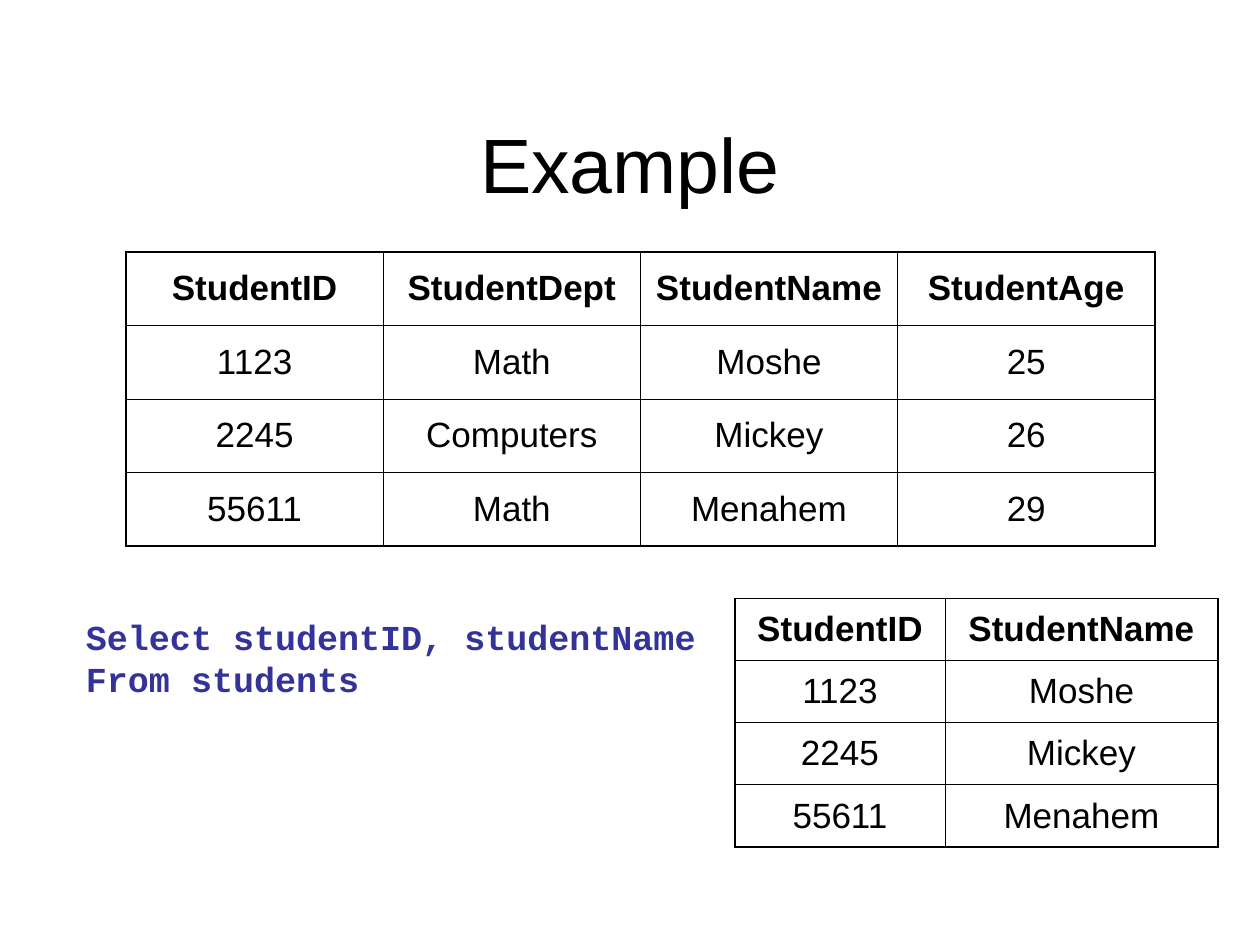
"""Builds a slide that shows an SQL projection with its source and result tables."""
from lxml import etree
from pptx import Presentation
from pptx.dml.color import RGBColor
from pptx.enum.text import MSO_ANCHOR, PP_ALIGN
from pptx.oxml.ns import qn
from pptx.util import Pt

CENTER, LEFT = PP_ALIGN.CENTER, PP_ALIGN.LEFT
MIDDLE = MSO_ANCHOR.MIDDLE
COLORS = {"text": "000000", "query": "333399"}
OUTER, INNER = 1.08, 0.45
TITLE_ONLY = 5

STUDENTS = [
    ("StudentID", "StudentDept", "StudentName", "StudentAge"),
    ("1123", "Math", "Moshe", "25"),
    ("2245", "Computers", "Mickey", "26"),
    ("55611", "Math", "Menahem", "29"),
]
RESULT = [(row[0], row[2]) for row in STUDENTS]
QUERY = "Select studentID, studentName\nFrom students"


class SlideBuilder:
    """Holds the text style and the current slide."""

    def __init__(self, slide, font="Arial", size=20):
        self.slide, self.font, self.size = slide, font, size

    def style(self, paragraph, align=CENTER, font=None, size=None, bold=False, color="text"):
        paragraph.alignment = align
        paragraph.font.name = font or self.font
        paragraph.font.size = Pt(size or self.size)
        paragraph.font.bold = bold
        paragraph.font.color.rgb = RGBColor.from_string(COLORS[color])

    def title(self, text, left, top, width, height):
        heading = self.slide.shapes.title
        heading.left, heading.top = Pt(left), Pt(top)
        heading.width, heading.height = Pt(width), Pt(height)
        heading.text_frame.text = text
        heading.text_frame.vertical_anchor = MIDDLE
        self.style(heading.text_frame.paragraphs[0], size=44)

    def code(self, text, left, top, width, height):
        frame = self.slide.shapes.add_textbox(Pt(left), Pt(top), Pt(width), Pt(height)).text_frame
        frame.word_wrap = True
        statement = frame.paragraphs[0]
        statement.text = text
        statement.line_spacing = Pt(24)
        self.style(statement, LEFT, "Courier New", bold=True, color="query")

    def border(self, cell, side, weight):
        line = etree.SubElement(cell._tc.get_or_add_tcPr(), qn(f"a:ln{side}"), w=str(Pt(weight)))
        fill = etree.SubElement(line, qn("a:solidFill"))
        etree.SubElement(fill, qn("a:srgbClr"), val=COLORS["text"])

    def table(self, rows, left, top, widths, row_height):
        last_row, last_col = len(rows) - 1, len(widths) - 1
        grid = self.slide.shapes.add_table(
            len(rows), len(widths), Pt(left), Pt(top),
            Pt(sum(widths)), Pt(row_height * len(rows))).table
        grid.first_row = grid.horz_banding = False
        for column, width in zip(grid.columns, widths):
            column.width = Pt(width)
        for r, values in enumerate(rows):
            grid.rows[r].height = Pt(row_height)
            for c, value in enumerate(values):
                cell = grid.cell(r, c)
                cell.text = value
                cell.vertical_anchor = MIDDLE
                self.style(cell.text_frame.paragraphs[0], bold=r == 0)
                edges = {"L": c == 0, "R": c == last_col, "T": r == 0, "B": r == last_row}
                for side, is_outer in edges.items():
                    self.border(cell, side, OUTER if is_outer else INNER)
                cell.fill.background()


def main():
    deck = Presentation()
    deck.slide_width, deck.slide_height = Pt(720), Pt(540)
    builder = SlideBuilder(deck.slides.add_slide(deck.slide_layouts[TITLE_ONLY]))
    builder.title("Example", 54, 48, 612, 90)
    builder.table(STUDENTS, 72, 144, [147] * 4, 42)
    builder.code(QUERY, 42, 348, 370, 55.5)
    builder.table(RESULT, 420, 342, [120, 156], 35.5)
    deck.save("out.pptx")


if __name__ == "__main__":
    main()
